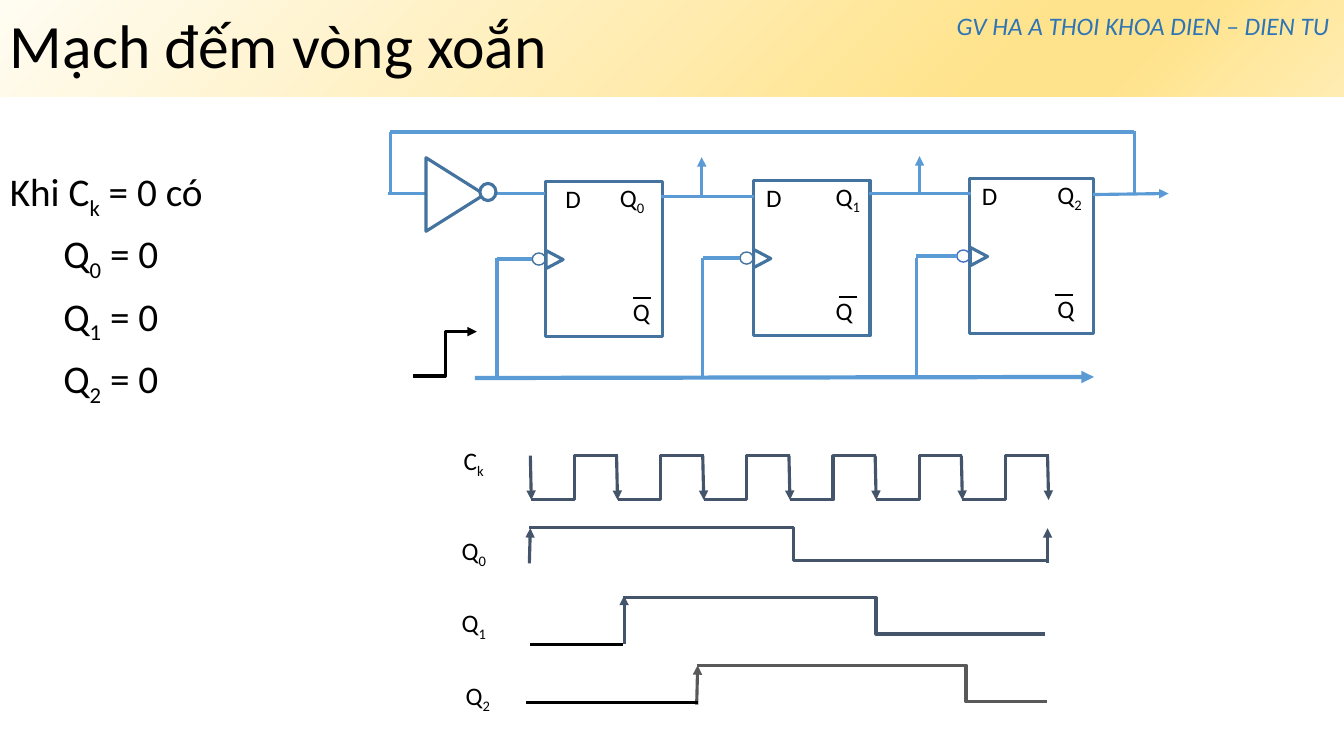
from lxml.etree import SubElement
from pptx import Presentation
from pptx.dml.color import RGBColor
from pptx.enum.shapes import MSO_CONNECTOR, MSO_SHAPE
from pptx.enum.text import MSO_ANCHOR, PP_ALIGN
from pptx.oxml.ns import qn
from pptx.util import Cm, Pt

COLORS = {
    "black": "000000", "white": "FFFFFF", "wire": "5B9BD5", "outline": "43739E",
    "bubble": "4472C4", "wave": "44546A", "gray": "595959", "author": "2E75B6",
}
BANNER_STOPS = [(0, "FFFCF2"), (74, "FFE38C"), (83, "FFE38C"), (100, "FFECB2")]


def inch(v):
    return Cm(v * 2.54)


class Slide:
    """Holds the style and the current slide; all lengths are in inches."""

    font = "Calibri"

    def __init__(self, prs):
        self.s = prs.slides.add_slide(prs.slide_layouts[6])

    def color(self, name):
        return RGBColor.from_string(COLORS[name])

    def style(self, p, size, color="black", italic=False, sub=None):
        """Format the runs of a paragraph; sub is the index of a subscript run."""
        for i, r in enumerate(p.runs):
            r.font.name = self.font
            r.font.size = Pt(size)
            r.font.italic = italic
            r.font.color.rgb = self.color(color)
            if i == sub:
                r.font._element.set("baseline", "-25000")

    def banner(self, text, w, h):
        sp = self.s.shapes.add_shape(MSO_SHAPE.RECTANGLE, 0, 0, inch(w), inch(h))
        sp.shadow.inherit = False
        sp.line.fill.background()
        sp.fill.gradient()
        sp.fill.gradient_angle = 315
        stops = sp._element.spPr.find(qn("a:gradFill")).find(qn("a:gsLst"))
        for gs in list(stops):
            stops.remove(gs)
        for pos, value in BANNER_STOPS:
            gs = SubElement(stops, qn("a:gs"), pos=str(pos * 1000))
            SubElement(gs, qn("a:srgbClr"), val=value)
        tf = sp.text_frame
        tf.text = text
        tf.vertical_anchor = MSO_ANCHOR.MIDDLE
        p = tf.paragraphs[0]
        p.alignment = PP_ALIGN.LEFT
        p.line_spacing = 0.9
        self.style(p, 44)

    def label(self, x, y, w, text, sub="", h=0.4, **kw):
        tf = self.s.shapes.add_textbox(inch(x), inch(y), inch(w), inch(h)).text_frame
        tf.word_wrap = False
        p = tf.paragraphs[0]
        p.text = text
        if sub:
            p.add_run().text = sub
        self.style(p, 18, sub=1, **kw)

    def equations(self, x, y, w, h, rows):
        tf = self.s.shapes.add_textbox(inch(x), inch(y), inch(w), inch(h)).text_frame
        tf.word_wrap = True
        for i, (parts, indent) in enumerate(rows):
            p = tf.add_paragraph() if i else tf.paragraphs[0]
            for part in parts:
                p.add_run().text = part
            p.line_spacing = 0.9
            p.space_before = Pt(10 if i else 0)
            p._p.get_or_add_pPr().set("marL", str(inch(indent)))
            self.style(p, 28, sub=1)

    def shape(self, kind, x, y, w, h, color="outline", width=2.25, fill=None, rot=0):
        sp = self.s.shapes.add_shape(kind, inch(x), inch(y), inch(w), inch(h))
        sp.shadow.inherit = False
        sp.rotation = rot
        sp.line.color.rgb = self.color(color)
        sp.line.width = Pt(width)
        if fill:
            sp.fill.solid()
            sp.fill.fore_color.rgb = self.color(fill)
        else:
            sp.fill.background()

    def line(self, x1, y1, x2, y2, color="wire", width=2.25, arrow=False, bend=None):
        """Straight line, or an elbow whose vertical part lies at the share bend."""
        kind = MSO_CONNECTOR.STRAIGHT if bend is None else MSO_CONNECTOR.ELBOW
        c = self.s.shapes.add_connector(kind, inch(x1), inch(y1), inch(x2), inch(y2))
        c.line.color.rgb = self.color(color)
        c.line.width = Pt(width)
        spPr = c._element.spPr
        if bend is not None:
            av = spPr.find(qn("a:prstGeom")).get_or_add_avLst()
            SubElement(av, qn("a:gd"), name="adj1", fmla=f"val {round(bend * 100000)}")
        if arrow:
            SubElement(c.line._get_or_add_ln(), qn("a:tailEnd"), type="triangle")
        SubElement(spPr, qn("a:effectLst"))

    def flip_flop(self, n, x, y, w, d, q, q_bar, bar, clock, bubble):
        """d, q, q_bar and bar are offsets from the left side of the box."""
        self.shape(MSO_SHAPE.RECTANGLE, x, y, w, 1.54)
        self.shape(MSO_SHAPE.ISOSCELES_TRIANGLE, x, y + 0.69, 0.18, 0.17, rot=90)
        self.shape(MSO_SHAPE.OVAL, x - 0.13, y + 0.71, 0.13, 0.12, bubble, 1)
        self.label(x + d, y - 0.03, 0.36, "D")
        self.label(x + q, y - 0.04, 0.46, "Q", str(n))
        self.label(x + q_bar, y + 1.09, 0.43, "Q", h=0.44)
        self.line(x + bar, y + 1.16, x + bar + 0.18, y + 1.16, "black", 1.5)
        # Clock feed
        self.line(clock, 3.75, clock, 2.56)
        self.line(clock, y + 0.77, x - 0.13, y + 0.77)


def main():
    prs = Presentation()
    prs.slide_width, prs.slide_height = inch(13.33), inch(7.5)
    s = Slide(prs)

    # Title, author and initial state
    s.banner("Mạch đếm vòng xoắn", 13.33, 0.96)
    s.label(9.39, 0.05, 3.94, "GV HA A THOI KHOA DIEN – DIEN TU", color="author", italic=True)
    rows = [(("Khi C", "k", " = 0 có"), 0)]
    rows += [(("Q", str(n), " = 0"), 0.53) for n in range(3)]
    s.equations(0, 1.62, 3.6, 2.6, rows)

    # Flip-flops
    flip_flops = [
        (5.41, 1.8, 1.16, 0.1, 0.64, 0.77, 0.87, 4.93, "outline"),
        (7.47, 1.79, 1.16, 0.03, 0.72, 0.72, 0.85, 6.97, "outline"),
        (9.62, 1.77, 1.23, 0.02, 0.77, 0.77, 0.84, 9.09, "bubble"),
    ]
    for n, ff in enumerate(flip_flops):
        s.flip_flop(n, *ff)

    # Wires between the stages and the feedback loop
    wires = [
        (6.56, 1.95, 7.48, 1.95), (8.62, 1.92, 9.63, 1.92), (4.92, 1.92, 5.41, 1.92),
        (3.85, 1.92, 4.24, 1.92), (3.87, 1.92, 3.87, 1.31), (3.87, 1.31, 11.25, 1.31),
        (11.25, 1.93, 11.25, 1.3),
    ]
    for wire in wires:
        s.line(*wire)
    for output in [(6.96, 1.93, 6.96, 1.56), (9.12, 1.92, 9.12, 1.55), (10.84, 1.93, 11.59, 1.92)]:
        s.line(*output, arrow=True)

    # Inverter
    s.shape(MSO_SHAPE.ISOSCELES_TRIANGLE, 4.15, 1.64, 0.73, 0.58, rot=90)
    s.shape(MSO_SHAPE.OVAL, 4.76, 1.82, 0.16, 0.17, fill="white")

    # Clock bus and clock edge
    s.line(4.71, 3.75, 10.85, 3.74, width=3, arrow=True)
    s.line(4.1, 3.73, 4.73, 3.29, "black", arrow=True, bend=0.5)

    # Clock waveform
    pulses, pitch = 6, 0.855
    for i in range(pulses + 1):
        x = 5.26 + i * pitch
        s.line(x, 4.52, x + 0.01, 4.96, "wave", arrow=True)
        if i < pulses:
            s.line(x + 0.01, 4.96, x + pitch + 0.01, 4.52, "wave", bend=0.5)

    # Output waveforms: high level, then low level after the bend
    outputs = [
        (5.25, 5.23, 10.39, 5.56, "wave", 0.51),
        (6.18, 5.93, 10.36, 6.29, "wave", 0.6),
        (6.91, 6.6, 10.38, 6.96, "gray", 0.77),
    ]
    for x1, y1, x2, y2, color, bend in outputs:
        s.line(x1, y1, x2, y2, color, bend=bend)
    edges = [
        (5.25, 5.59, 5.26, 5.24, "wave"), (10.39, 5.59, 10.39, 5.24, "wave"),
        (6.19, 6.39, 6.19, 5.91, "wave"), (6.91, 6.99, 6.92, 6.6, "gray"),
    ]
    for edge in edges:
        s.line(*edge, arrow=True)
    s.line(5.26, 6.39, 6.18, 6.39, "black")
    s.line(5.22, 6.97, 6.92, 6.97, "black")

    # Waveform names
    s.label(4.5, 4.37, 0.41, "C", "k")
    for n, x in enumerate([4.48, 4.48, 4.52]):
        s.label(x, 5.26 + 0.72 * n, 0.46, "Q", str(n))

    prs.save("out.pptx")


if __name__ == "__main__":
    main()
